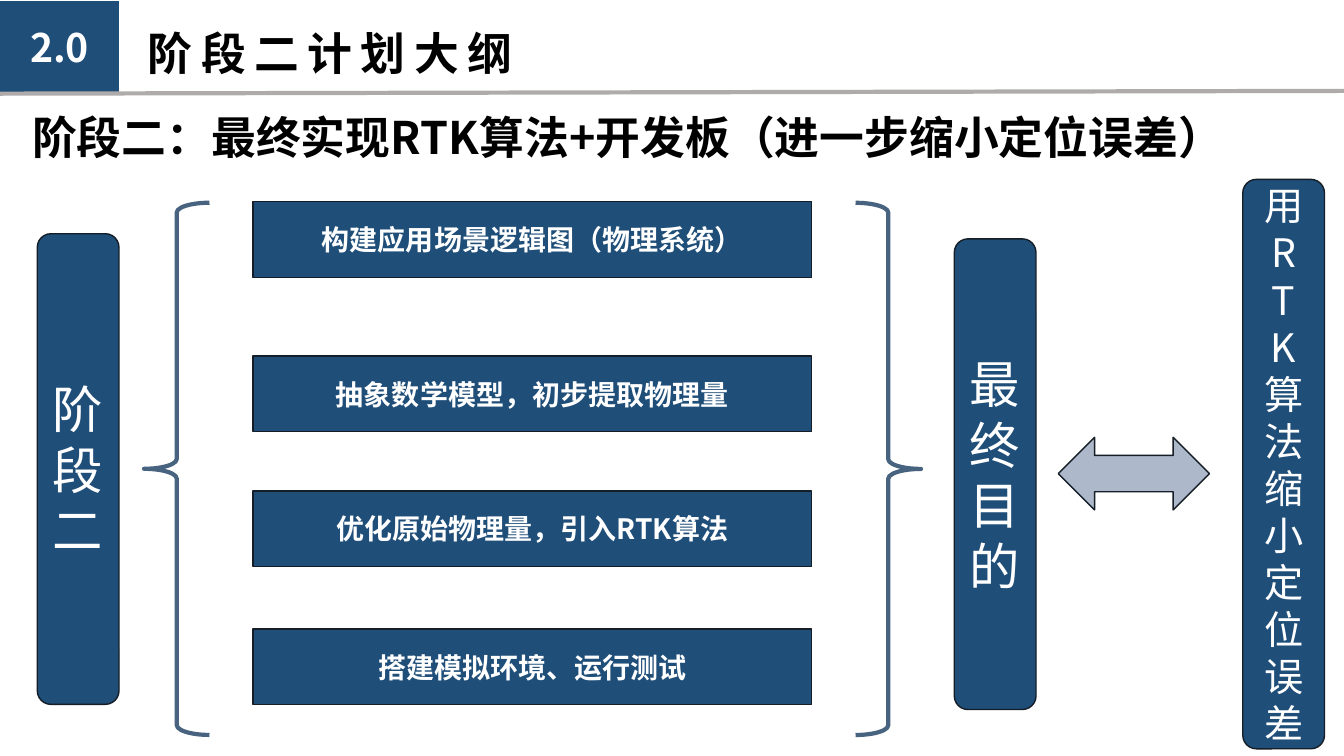
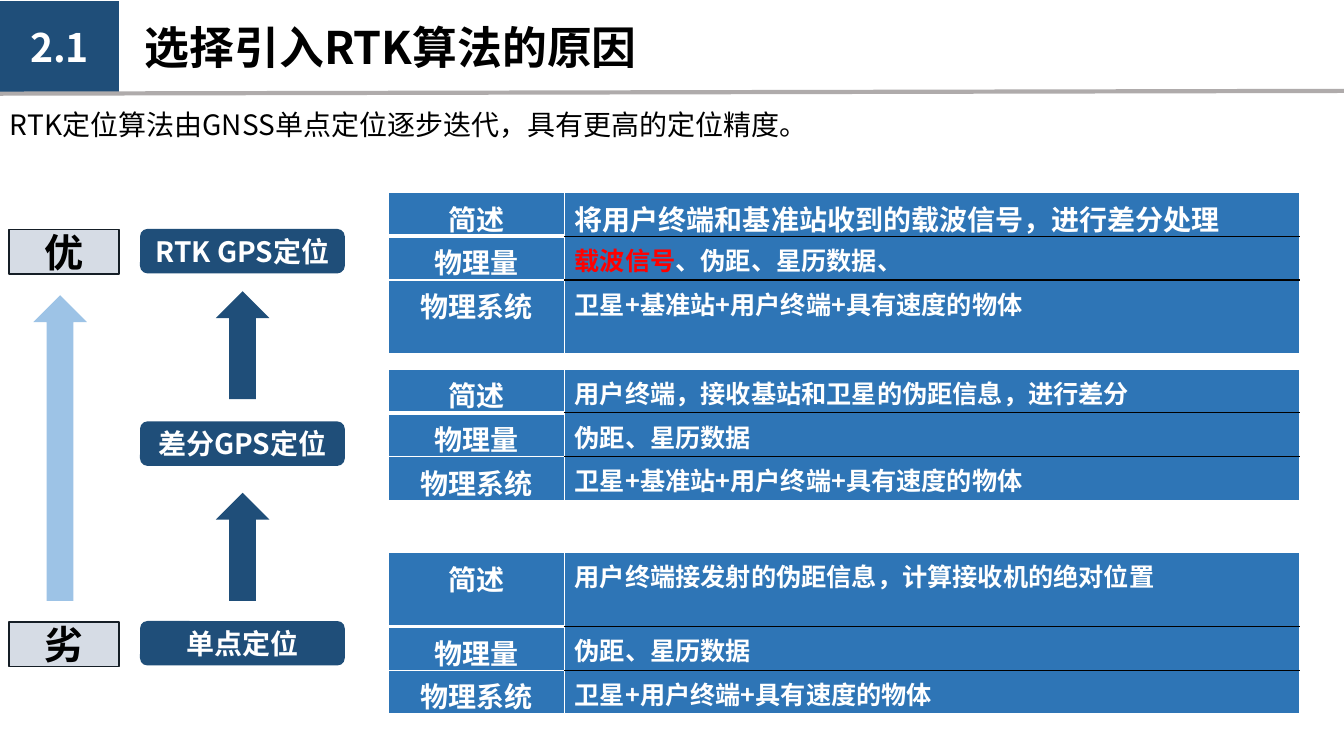
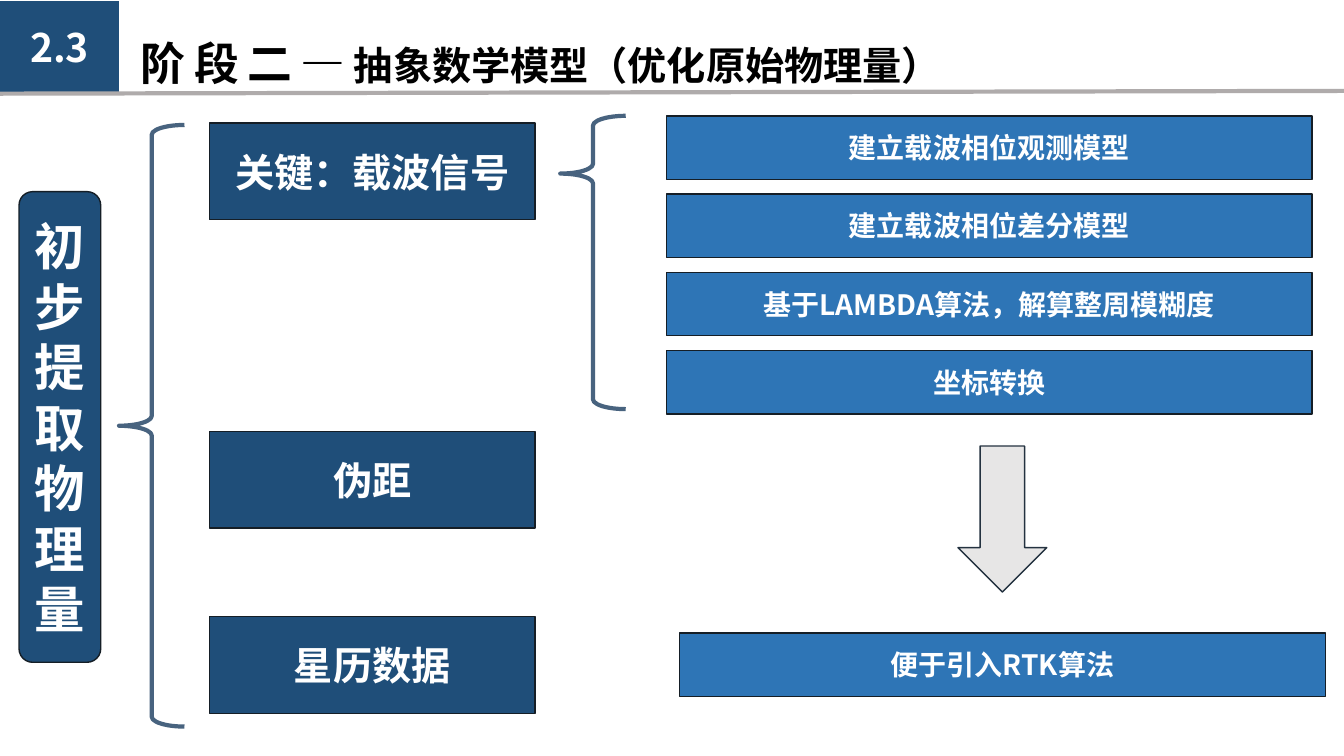
from collections import namedtuple

from lxml import etree
from pptx import Presentation
from pptx import util as u
from pptx.dml.color import RGBColor
from pptx.enum import shapes, text
from pptx.oxml.ns import qn

FONT = "Noto Sans CJK SC"
NAVY = RGBColor(0x1F, 0x4E, 0x79)
BLUE = RGBColor(0x2E, 0x75, 0xB6)
SKY = RGBColor(0x9D, 0xC3, 0xE6)
STEEL = RGBColor(0xAD, 0xB9, 0xCA)
PALE = RGBColor(0xD6, 0xDC, 0xE5)
SILVER = RGBColor(0xE7, 0xE6, 0xE6)
RULE = RGBColor(0xAF, 0xAB, 0xAB)
EDGE = RGBColor(0x15, 0x1E, 0x26)
ARROW_EDGE = RGBColor(0x24, 0x32, 0x40)
BRACE = RGBColor(0x48, 0x63, 0x7F)
WHITE = RGBColor(0xFF, 0xFF, 0xFF)
BLACK = RGBColor(0, 0, 0)
RED = RGBColor(0xFF, 0, 0)

KIND = shapes.MSO_SHAPE
CENTER = text.PP_ALIGN.CENTER
LEFT = text.PP_ALIGN.LEFT
MIDDLE = {"word_wrap": True, "vertical_anchor": text.MSO_ANCHOR.MIDDLE}
NO_WRAP = {**MIDDLE, "word_wrap": False}
GROW = {"word_wrap": True, "auto_size": text.MSO_AUTO_SIZE.SHAPE_TO_FIT_TEXT}

# All boxes are in centimetres.
Box = namedtuple("Box", "x y w h")
Span = namedtuple("Span", "words size color bold spacing",
                  defaults=(20, WHITE, True, 0))


def apply(target, values):
    """Set each named value on the target."""
    for name, value in values.items():
        setattr(target, name, value)


def lengths(box):
    """Turn a box into four slide lengths."""
    return [u.Cm(value) for value in box]


def inside(box, x, y, w, h):
    """Give a box whose corner is measured from another box."""
    return Box(box.x + x, box.y + y, w, h)


def write(frame, paragraphs, align=CENTER, layout=None):
    """Fill a text frame with paragraphs, each a list of spans."""
    apply(frame, layout or {})
    for index, spans in enumerate(paragraphs):
        para = frame.paragraphs[0] if index == 0 else frame.add_paragraph()
        para.alignment = align
        for span in spans:
            run = para.add_run()
            run.text = span.words
            apply(run.font, {"name": FONT, "size": u.Pt(span.size),
                             "bold": span.bold})
            run.font.color.rgb = span.color
            props = run.font._element
            if span.spacing:
                props.set("spc", str(span.spacing * 100))
            east = etree.Element(qn("a:ea"), typeface=FONT)
            props.find(qn("a:latin")).addnext(east)


def add_label(page, box, spans, layout):
    """Add left-aligned text without a frame."""
    label = page.shapes.add_textbox(*lengths(box))
    write(label.text_frame, [spans], LEFT, layout)


def add_block(page, kind, box, fill, paragraphs=(), edge=None, weight=1,
              turn=0, layout=MIDDLE):
    """Add a filled preset shape with optional outline and text."""
    block = page.shapes.add_shape(kind, *lengths(box))
    block.shadow.inherit = False
    block.rotation = turn
    block.fill.solid()
    block.fill.fore_color.rgb = fill
    if edge is None:
        block.line.fill.background()
    else:
        block.line.color.rgb = edge
        block.line.width = u.Pt(weight)
    if paragraphs:
        write(block.text_frame, paragraphs, layout=layout)
    return block


def add_brace(page, box, point=0.5, turn=0):
    """Add a curly brace whose tip sits at a share of its height."""
    brace = add_block(page, KIND.LEFT_BRACE, box, WHITE, edge=BRACE,
                      weight=3, turn=turn)
    brace.adjustments[0] = 0.149
    brace.adjustments[1] = point


def add_pillar(page, box, lines, size=36, bold=False):
    """Add a tall rounded bar holding one character per line."""
    add_block(page, KIND.ROUNDED_RECTANGLE, box, NAVY,
              [[Span(line, size, bold=bold)] for line in lines], EDGE)


def add_bars(page, box, bars, height, fill=NAVY, size=20):
    """Place labelled bars at given drops below the top of the box."""
    for drop, words in bars:
        add_block(page, KIND.RECTANGLE, inside(box, 0, drop, box.w, height),
                  fill, [[Span(words, size)]], EDGE)


def add_header(page, number):
    """Add the section number and the rule under the title."""
    add_block(page, KIND.RECTANGLE, Box(0, 0.03, 3, 2.31), NAVY,
              [[Span(number, 28)]])
    rule = page.shapes.add_connector(
        shapes.MSO_CONNECTOR.STRAIGHT,
        *lengths((-0.05, 2.36, 33.93, 2.29)))
    rule.line.color.rgb = RULE
    rule.line.width = u.Pt(3)
    etree.SubElement(rule._element.spPr, qn("a:effectLst"))


def add_border(cell, side, color, weight):
    """Draw one side of a table cell."""
    props = cell._tc.get_or_add_tcPr()
    line = etree.SubElement(props, qn("a:" + side), w=str(u.Pt(weight)))
    fill = etree.SubElement(line, qn("a:solidFill"))
    etree.SubElement(fill, qn("a:srgbClr"), val=str(color))


def add_facts(page, box, heights, facts):
    """Add a table of summary, quantities and system for one method."""
    names = ["简述", "物理量", "物理系统"]
    last = len(names) - 1
    table = page.shapes.add_table(len(names), 2, *lengths(box)).table
    label_width = 4.45
    table.columns[0].width = u.Cm(label_width)
    table.columns[1].width = u.Cm(box.w - label_width)
    for row, (name, fact) in enumerate(zip(names, facts)):
        table.rows[row].height = u.Cm(heights[row])
        contents = [([Span(name)], CENTER), (fact, LEFT)]
        for column, (spans, align) in enumerate(contents):
            cell = table.cell(row, column)
            write(cell.text_frame, [spans], align)
            inner = BLACK if column else WHITE
            header = row == 0 and column == 0
            under_header = row == 1 and column == 0
            sides = {
                "lnL": (WHITE, 1), "lnR": (WHITE, 1),
                "lnT": (inner if row else WHITE, 3 if under_header else 1),
                "lnB": (inner if row < last else WHITE, 3 if header else 1),
            }
            for side, (color, weight) in sides.items():
                add_border(cell, side, color, weight)
            cell.fill.solid()
            cell.fill.fore_color.rgb = BLUE


def add_ranking(page, box):
    """Show the three methods from worst to best, with upward arrows."""
    for drop, grade in [(0.02, "优"), (9.9, "劣")]:
        add_block(page, KIND.RECTANGLE, inside(box, 0, drop, 2.77, 1.12),
                  PALE, [[Span(grade, 28, BLACK)]], EDGE)
    methods = [(0, "RTK GPS定位"), (4.85, "差分GPS定位"), (9.88, "单点定位")]
    for drop, method in methods:
        add_block(page, KIND.ROUNDED_RECTANGLE,
                  inside(box, 3.3, drop, 5.16, 1.12), NAVY,
                  [[Span(method)]], layout=NO_WRAP)
    arrows = [(0.61, 1.67, 7.7, SKY), (5.21, 1.57, 2.72, NAVY),
              (5.21, 6.65, 2.72, NAVY)]
    for x, drop, height, fill in arrows:
        add_block(page, KIND.UP_ARROW, inside(box, x, drop, 1.35, height),
                  fill)


def outline_slide(page):
    """Show the steps of stage two and their goal."""
    add_label(page, Box(3.48, 0.08, 10.39, 2.49),
              [Span("阶段二计划大纲", 32, BLACK, spacing=6)], NO_WRAP)
    add_header(page, "2.0")
    add_label(page, Box(0.56, 2.64, 30.76, 1.63),
              [Span("阶段二：最终实现RTK算法+开发板（进一步缩小定位误差）",
                    32, BLACK)], GROW)
    add_pillar(page, Box(0.94, 5.89, 2.06, 11.86), ["阶段二"])
    add_brace(page, Box(3.63, 5.11, 1.65, 13.41))
    add_bars(page, Box(6.38, 5.08, 14.07, 12.68), [
        (0, "构建应用场景逻辑图（物理系统）"),
        (3.89, "抽象数学模型，初步提取物理量"),
        (7.29, "优化原始物理量，引入RTK算法"),
        (10.77, "搭建模拟环境、运行测试")], 1.91)
    add_brace(page, Box(21.56, 5.11, 1.65, 13.41), turn=180)
    add_pillar(page, Box(24.05, 6.02, 2.06, 11.86), ["最终目的"])
    add_block(page, KIND.LEFT_RIGHT_ARROW, Box(26.67, 11.02, 3.81, 1.83),
              STEEL, edge=EDGE)
    add_pillar(page, Box(31.32, 4.52, 2.06, 14.35),
               ["用R", "T", "K算法缩小定位误差"], 28)


def reason_slide(page):
    """Compare the three positioning methods."""
    add_header(page, "2.1")
    add_label(page, Box(3.4, 0.38, 23.83, 1.63),
              [Span("选择引入RTK算法的原因", 32, BLACK)], GROW)
    add_label(page, Box(0, 2.59, 30.05, 1.12),
              [Span("RTK定位算法由GNSS单点定位逐步迭代，具有更高的定位精度。",
                    20, BLACK, False)], GROW)
    add_ranking(page, Box(0.23, 5.77, 8.46, 11.02))
    full_system = [Span("卫星+基准站+用户终端+具有速度的物体", 18)]
    quantities = [Span("伪距、星历数据", 18)]
    methods = [
        (4.85, [1.1, 1.1, 1.85],
         [[Span("将用户终端和基准站收到的载波信号，进行差分处理")],
          [Span("载波信号", 18, RED), Span("、伪距、星历数据、", 18)],
          full_system]),
        (9.3, [1.1, 1.1, 1.1],
         [[Span("用户终端，接收基站和卫星的伪距信息，进行差分", 18)],
          quantities, full_system]),
        (13.92, [1.87, 1.1, 1.1],
         [[Span("用户终端接发射的伪距信息，计算接收机的绝对位置", 18)],
          quantities, [Span("卫星+用户终端+具有速度的物体", 18)]]),
    ]
    for top, heights, facts in methods:
        add_facts(page, Box(9.78, top, 22.97, sum(heights)), heights, facts)


def model_slide(page):
    """Break the physical quantities down into modelling steps."""
    add_label(page, Box(3.3, 0.33, 21.2, 2.49),
              [Span("阶段二—", 32, BLACK, spacing=6),
               Span("抽象数学模型（优化原始物理量）", 28, BLACK)], NO_WRAP)
    add_header(page, "2.3")
    add_pillar(page, Box(0.48, 4.83, 2.06, 11.86), ["初步提取物理量"],
               bold=True)
    add_brace(page, Box(3, 3.15, 1.65, 15.16))
    add_bars(page, Box(5.28, 3.1, 8.2, 14.88),
             [(0, "关键：载波信号"), (7.77, "伪距"), (12.44, "星历数据")],
             2.44, size=28)
    add_brace(page, Box(14.12, 2.92, 1.65, 7.39), 0.197)
    steps = ["建立载波相位观测模型", "建立载波相位差分模型",
             "基于LAMBDA算法，解算整周模糊度", "坐标转换"]
    add_bars(page, Box(16.79, 2.92, 16.28, 7.5),
             [(1.97 * index, step) for index, step in enumerate(steps)],
             1.6, BLUE)
    add_block(page, KIND.RIGHT_ARROW, Box(23.42, 11.96, 3.68, 2.24), SILVER,
              edge=ARROW_EDGE, turn=90)
    add_bars(page, Box(17.12, 15.95, 16.28, 1.6), [(0, "便于引入RTK算法")],
             1.6, BLUE)


def main():
    """Build and save the deck."""
    deck = Presentation()
    apply(deck, {"slide_width": u.Cm(33.87), "slide_height": u.Cm(19.05)})
    for build in (outline_slide, reason_slide, model_slide):
        build(deck.slides.add_slide(deck.slide_layouts[6]))
    deck.save("out.pptx")


main()
